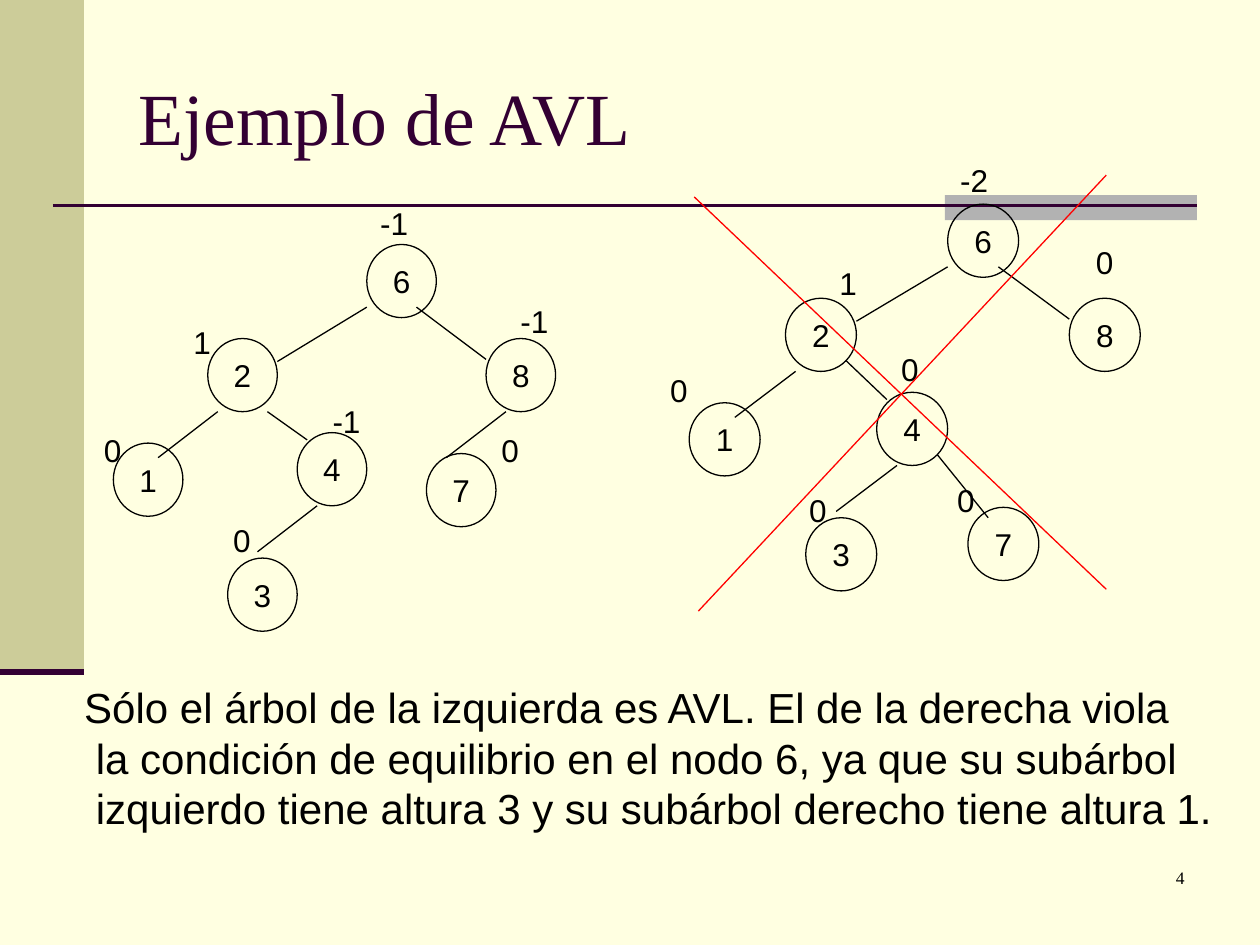
from lxml.etree import SubElement
from pptx import Presentation
from pptx.dml.color import RGBColor
from pptx.enum.shapes import MSO_CONNECTOR, MSO_SHAPE
from pptx.enum.text import MSO_ANCHOR, PP_ALIGN
from pptx.oxml.ns import qn
from pptx.util import Inches, Pt

WIDTH, HEIGHT = 10, 7.5
INK, PLUM, RED = "000000", "330033", "FF0000"
TREE_COLS, TREE_ROWS = 44.5, 37  # grid laid over each tree
NODE_SPAN = 7                    # columns and rows covered by a node

# Parts shared by both trees: key -> (column, row)
SHARED_NODES = {"6": (25.5, 0), "8": (37.5, 9), "2": (9.5, 9),
                "4": (18.5, 18), "1": (0, 19), "3": (11.5, 30)}
SHARED_EDGES = [(25.5, 6, 16.5, 11.2), (10.5, 16, 4.5, 20.4),
                (20.5, 25, 14.5, 29.4), (30.5, 6, 37.5, 11)]

# What differs in each tree; balances are (text, column, row)
AVL_TREE = {
    "nodes": {"7": (31.5, 20)},
    "edges": [(39.5, 16, 33.5, 20.4), (15.5, 16, 19.5, 18.7)],
    "balances": [("1", 6.8, 6.9), ("0", 10.8, 25.9), ("0", -2.2, 17.3),
                 ("-1", 20.8, 14.5), ("0", 37.8, 17.3),
                 ("-1", 39.7, 4.9), ("-1", 25.6, -4.5)],
}
UNBALANCED_TREE = {
    "nodes": {"7": (27.5, 29)},
    "edges": [(15.5, 15, 19.5, 18.7), (24.5, 24, 29.5, 30)],
    "balances": [("0", 10.6, 26.9), ("0", 25.2, 25.9), ("0", 19.7, 13.4),
                 ("0", -3.1, 15.4), ("1", 13.6, 5.1),
                 ("0", 38.9, 3.1), ("-2", 25.5, -4.7)],
}


def color(hex_string):
    return RGBColor.from_string(hex_string)


def write(frame, lines, size, font="Arial", ink=INK, align=PP_ALIGN.LEFT,
          anchor=MSO_ANCHOR.TOP, wrap=False):
    frame.word_wrap = wrap
    frame.vertical_anchor = anchor
    for index, line in enumerate(lines):
        paragraph = frame.add_paragraph() if index else frame.paragraphs[0]
        paragraph.alignment = align
        run = paragraph.add_run()
        run.text = line
        run.font.size = Pt(size)
        run.font.name = font
        run.font.color.rgb = color(ink)


def add_text(slide, box, lines, size, **style):
    area = slide.shapes.add_textbox(*map(Inches, box))
    write(area.text_frame, lines, size, **style)


def add_line(slide, ends, ink=INK, weight=0.75):
    line = slide.shapes.add_connector(MSO_CONNECTOR.STRAIGHT,
                                      *map(Inches, ends))
    line.line.color.rgb = color(ink)
    line.line.width = Pt(weight)
    SubElement(line._element.spPr, qn("a:effectLst"))


def add_band(slide, box, fill):
    band = slide.shapes.add_shape(MSO_SHAPE.RECTANGLE, *map(Inches, box))
    band.shadow.inherit = False
    band.fill.solid()
    band.fill.fore_color.rgb = color(fill)
    band.line.fill.background()


def add_backdrop(slide, box):
    left, top, width, height = box
    slide.background.fill.solid()
    slide.background.fill.fore_color.rgb = color("FFFFE1")
    side, base = left + width / 15, top + height * 0.711
    rule = top + height * 0.2175
    right = left + width * 0.95
    # Side band and title accent
    add_band(slide, (left, top, side - left, base - top), "CCCC99")
    add_band(slide, (left + width * 0.75, top + height * 0.2065,
                     width * 0.2, height * 0.0265), "B2B2B2")
    # Title rule and side band base
    add_line(slide, (left + width * 0.042, rule, right, rule), PLUM, 1.5)
    add_line(slide, (left, base, side, base), PLUM, 3.5)


def add_tree(slide, box, tree):
    left, top, width, height = box
    col, row = width / TREE_COLS, height / TREE_ROWS

    def place(column, line):
        return left + column * col, top + line * row

    # Nodes
    for key, spot in (SHARED_NODES | tree["nodes"]).items():
        node = slide.shapes.add_shape(
            MSO_SHAPE.OVAL, *map(Inches, place(*spot)),
            Inches(NODE_SPAN * col), Inches(NODE_SPAN * row))
        node.shadow.inherit = False
        node.fill.background()
        node.line.color.rgb = color(INK)
        node.line.width = Pt(0.75)
        write(node.text_frame, [key], 18, align=PP_ALIGN.CENTER,
              anchor=MSO_ANCHOR.MIDDLE)
    # Edges
    for x1, y1, x2, y2 in SHARED_EDGES + tree["edges"]:
        add_line(slide, (*place(x1, y1), *place(x2, y2)))
    # Balance factors
    for balance, column, line in tree["balances"]:
        label_width = 0.26 + 0.08 * len(balance)
        add_text(slide, (*place(column, line), label_width, 0.4),
                 [balance], 18)


def add_cross(slide, box):
    left, top, width, height = box
    right, bottom = left + width, top + height
    add_line(slide, (left, top + height * 0.05, right,
                     bottom - height * 0.05), RED)
    add_line(slide, (right, top, left + width * 0.01, bottom), RED)


def main():
    deck = Presentation()
    deck.slide_width, deck.slide_height = Inches(WIDTH), Inches(HEIGHT)
    slide = deck.slides.add_slide(deck.slide_layouts[6])

    add_backdrop(slide, (0, 0, WIDTH, HEIGHT))
    add_text(slide, (WIDTH * 0.1, HEIGHT * 0.04, WIDTH * 0.85, HEIGHT / 6),
             ["Ejemplo de AVL"], 42, font="Times New Roman", ink=PLUM,
             anchor=MSO_ANCHOR.MIDDLE, wrap=True)
    add_tree(slide, (0.9, 1.94, 3.51, 3.07), AVL_TREE)
    add_tree(slide, (5.47, 1.62, 3.58, 3.07), UNBALANCED_TREE)
    add_cross(slide, (5.51, 1.39, 3.27, 3.46))
    # Conclusion
    add_text(slide, (0.57, 5.36, 9.15, 1.3),
             ["Sólo el árbol de la izquierda es AVL. El de la derecha viola",
              " la condición de equilibrio en el nodo 6, ya que su subárbol",
              " izquierdo tiene altura 3 y su subárbol derecho tiene altura 1."],
             24, anchor=MSO_ANCHOR.MIDDLE)
    # Page number
    add_text(slide, (7.42, 6.83, 2.08, 0.5), ["4"], 10,
             font="Times New Roman", align=PP_ALIGN.RIGHT, wrap=True)
    deck.save("out.pptx")


if __name__ == "__main__":
    main()
